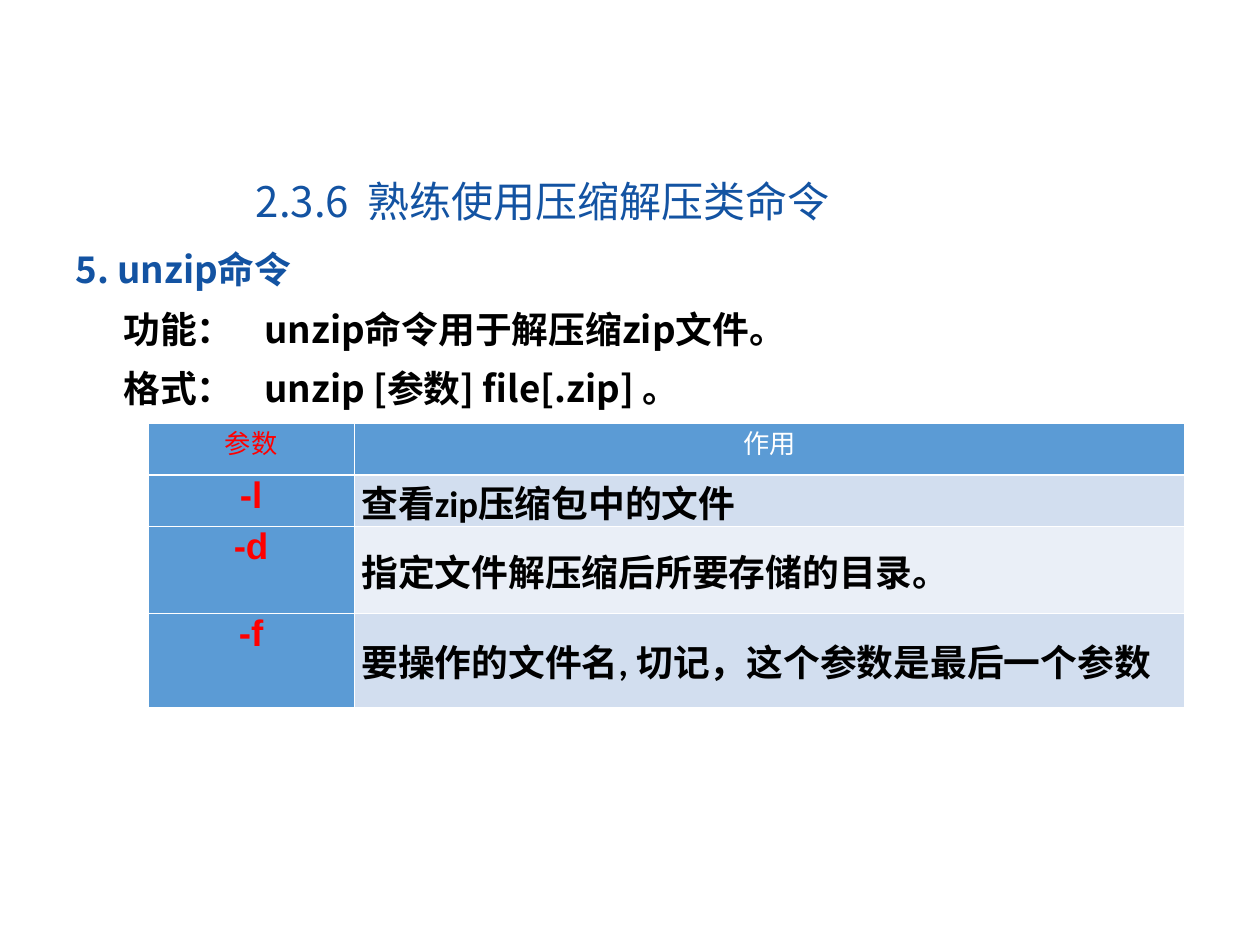
from lxml import etree
from pptx import Presentation
from pptx.dml.color import RGBColor
from pptx.enum.text import MSO_ANCHOR, PP_ALIGN
from pptx.oxml.ns import qn
from pptx.util import Pt

TOP, MIDDLE = MSO_ANCHOR.TOP, MSO_ANCHOR.MIDDLE
LEFT, CENTER = PP_ALIGN.LEFT, PP_ALIGN.CENTER
CJK = "Noto Sans CJK SC"
BLUE, BLACK, WHITE, RED = "1353A2", "000000", "FFFFFF", "FF0000"
HEADER, BAND_DARK, BAND_LIGHT = "5B9BD5", "D2DEEF", "EAEFF7"


def rgb(color):
    return RGBColor.from_string(color)


def add_run(p, text, size, color, bold, font=CJK):
    r = p.add_run()
    r.text = text
    r.font.size, r.font.bold, r.font.name = Pt(size), bold, font
    r.font.color.rgb = rgb(color)
    etree.SubElement(r.font._element, qn("a:ea")).set("typeface", CJK)


prs = Presentation()
prs.slide_width, prs.slide_height = Pt(720), Pt(540)
s = prs.slides.add_slide(prs.slide_layouts[5])

# Title
title = s.shapes.title
title.left, title.top, title.width, title.height = Pt(139), Pt(96.5), Pt(407), Pt(36)
tf = title.text_frame
tf.word_wrap, tf.vertical_anchor = True, TOP
p = tf.paragraphs[0]
p.alignment = LEFT
add_run(p, "2.3.6  熟练使用压缩解压类命令", 24, BLUE, False)

# Command description, with the text after each label on a tab stop
tf = s.shapes.add_textbox(Pt(36), Pt(137.5), Pt(596), Pt(98)).text_frame
tf.word_wrap = True
add_run(tf.paragraphs[0], "5. unzip命令", 21, BLUE, True)
for text in ("功能：\tunzip命令用于解压缩zip文件。", "格式：\tunzip [参数] file[.zip] 。"):
    p = tf.add_paragraph()
    pPr = p._p.get_or_add_pPr()
    pPr.set("marL", "0")
    pPr.set("indent", str(Pt(27.4)))
    tabs = etree.SubElement(pPr, qn("a:tabLst"))
    etree.SubElement(tabs, qn("a:tab"), pos=str(Pt(104)), algn="l")
    p.line_spacing = 1.35
    add_run(p, text, 21, BLACK, True)

# Parameter table
rows = [
    ("参数", "作用"),
    ("-l", "查看zip压缩包中的文件"),
    ("-d", "指定文件解压缩后所要存储的目录。"),
    ("-f", "要操作的文件名, 切记，这个参数是最后一个参数"),
]
table = s.shapes.add_table(4, 2, Pt(84.5), Pt(242), Pt(592.5), Pt(163)).table
for col, width in zip(table.columns, (118, 474.5)):
    col.width = Pt(width)
for row, height in zip(table.rows, (29.5, 29.5, 49.5, 54)):
    row.height = Pt(height)

for i, texts in enumerate(rows):
    for j, text in enumerate(texts):
        head, effect = i == 0, i > 0 and j == 1
        cell = table.cell(i, j)
        cell.margin_left = cell.margin_right = Pt(4)
        cell.margin_top = cell.margin_bottom = 0
        cell.vertical_anchor = MIDDLE if effect else TOP
        p = cell.text_frame.paragraphs[0]
        p.alignment = LEFT if effect else CENTER
        color = RED if j == 0 else WHITE if head else BLACK
        add_run(p, text, 15 if head else 21, color, not head,
                "Calibri" if effect else "Arial")
        # White borders go before the fill in the cell properties
        tcPr = cell._tc.get_or_add_tcPr()
        for side in ("lnL", "lnR", "lnT", "lnB"):
            ln = etree.SubElement(tcPr, qn("a:" + side), w=str(Pt(1)))
            solid = etree.SubElement(ln, qn("a:solidFill"))
            etree.SubElement(solid, qn("a:srgbClr"), val=WHITE)
        cell.fill.solid()
        band = BAND_DARK if i % 2 else BAND_LIGHT
        cell.fill.fore_color.rgb = rgb(band if effect else HEADER)

prs.save("out.pptx")
